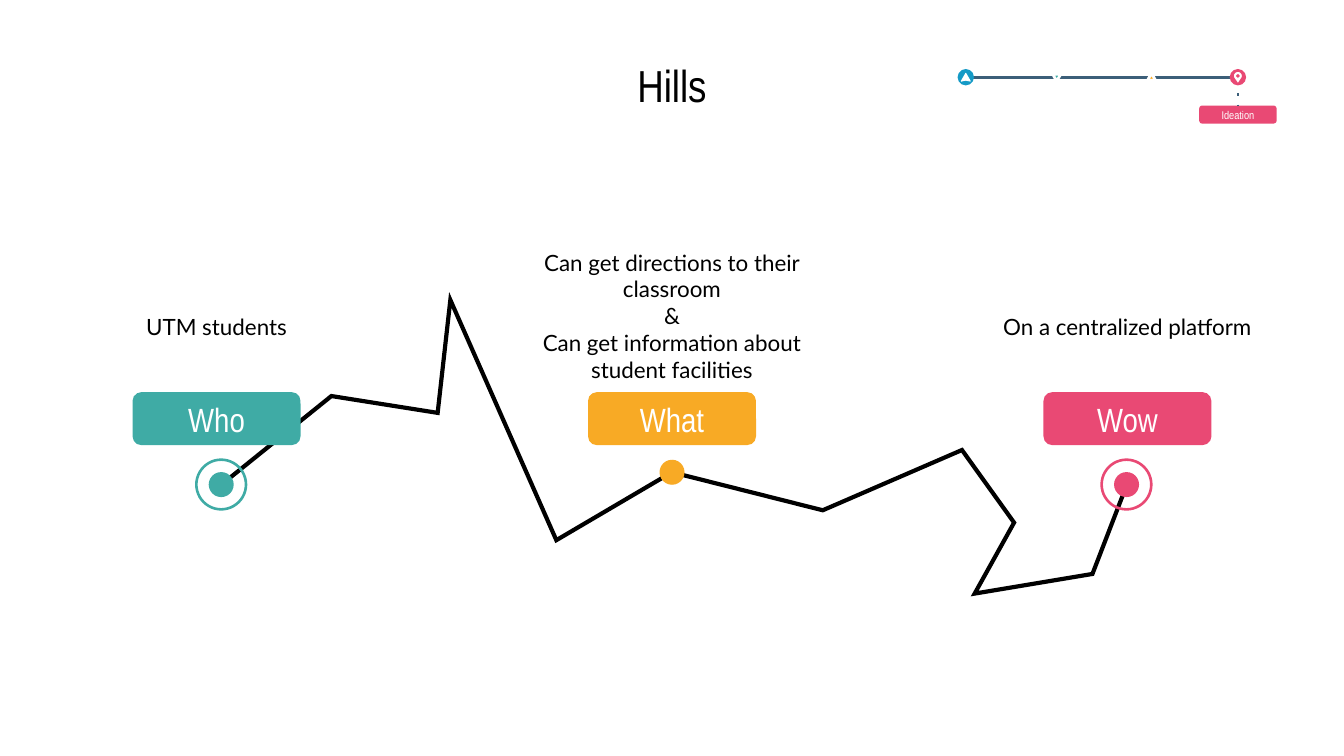
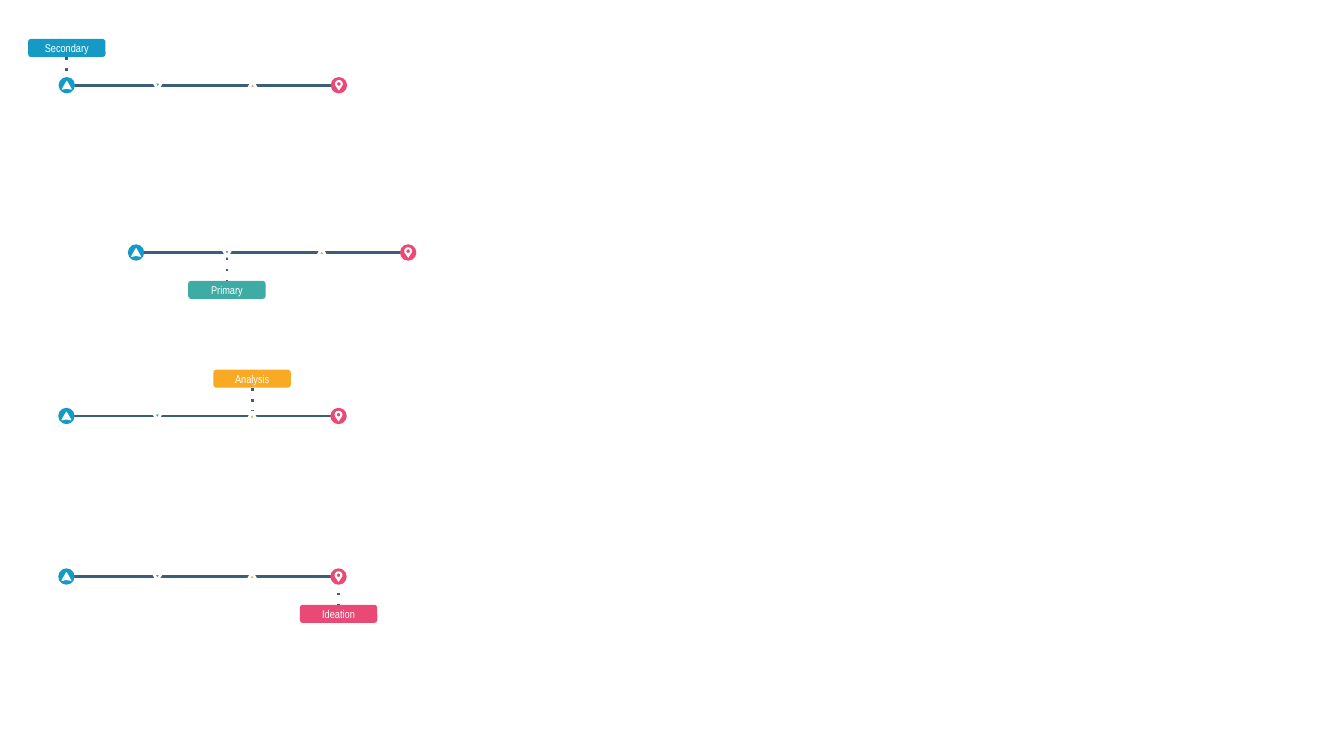
from math import cos, radians, sin

from pptx import Presentation
from pptx.dml.color import RGBColor
from pptx.enum.dml import MSO_LINE
from pptx.enum.shapes import MSO_CONNECTOR, MSO_SHAPE
from pptx.enum.text import MSO_ANCHOR, PP_ALIGN
from pptx.oxml.xmlchemy import OxmlElement
from pptx.util import Pt

OVAL, RING, ROUND = MSO_SHAPE.OVAL, MSO_SHAPE.DONUT, MSO_SHAPE.ROUNDED_RECTANGLE
STRAIGHT = MSO_CONNECTOR.STRAIGHT
DOT = MSO_LINE.ROUND_DOT
CENTER = PP_ALIGN.CENTER
TOP, BOTTOM = 0, 2

BLACK = RGBColor(0x00, 0x00, 0x00)
WHITE = RGBColor(0xFF, 0xFF, 0xFF)
SLATE = RGBColor(0x3C, 0x5F, 0x79)
BLUE = RGBColor(0x15, 0x9A, 0xC6)
TEAL = RGBColor(0x3F, 0xAB, 0xA5)
AMBER = RGBColor(0xF8, 0xAA, 0x25)
PINK = RGBColor(0xE9, 0x49, 0x74)

FRAME = {
    "word_wrap": True, "vertical_anchor": MSO_ANCHOR.MIDDLE,
    "margin_left": Pt(7.2), "margin_right": Pt(7.2),
    "margin_top": Pt(7.2), "margin_bottom": Pt(7.2),
}
HEAD = {"name": "Arial Narrow", "size": Pt(24)}
LABEL = {"name": "Arial Narrow", "size": Pt(18)}
SMALL = {"name": "Arial Narrow", "size": Pt(6)}
BODY = {"name": "Lato", "size": Pt(12)}

STEPS = [(0, BLUE), (48.7, TEAL), (99.5, AMBER), (145.8, PINK)]
DISC = 8.8
TRAIL = [
    (118.5, 259.8), (177.6, 212.2), (234.5, 221.2), (241.3, 160.7),
    (298.1, 289.4), (360, 253), (440.8, 273.4), (515.4, 241.1),
    (543.3, 280), (522.2, 318), (585.3, 307.5), (603.5, 260.2),
]
HILLS = [
    ("Who", TEAL, ["UTM students"], 144.8, (118.5, 259.6), True),
    ("What", AMBER, ["Can get directions to their classroom", "&",
                     "Can get information about student facilities"],
     139, (360, 253), False),
    ("Wow", PINK, ["On a centralized platform"], 144.8, (603.5, 259.6), True),
]
TRACKS = [
    (35.8, 45.7, 0, "Secondary", -1),
    (72.9, 135.3, 1, "Primary", 1),
    (35.6, 222.9, 2, "Analysis", -1),
    (35.6, 308.9, 3, "Ideation", 1),
]


def put(item, vals):
    """Set each named value on the item."""
    for name, val in vals.items():
        setattr(item, name, val)


def paint(shape, fill=None, line=None, width=1.5):
    """Give a shape its fill and outline, without a shadow."""
    shape.shadow.inherit = False
    if fill is None:
        shape.fill.background()
    else:
        shape.fill.solid()
        shape.fill.fore_color.rgb = fill
    if line is None:
        shape.line.fill.background()
    else:
        shape.line.color.rgb = line
        shape.line.width = Pt(width)
    return shape


def write(shape, lines, font, color):
    """Fill a shape with centred paragraphs."""
    frame = shape.text_frame
    put(frame, FRAME)
    for i, line in enumerate(lines):
        para = frame.paragraphs[0] if i == 0 else frame.add_paragraph()
        para.text = line
        para.alignment = CENTER
        put(para.font, font)
        para.font.color.rgb = color


def words(slide, x, y, w, h, lines, font):
    """Add a text box centred on x."""
    box = slide.shapes.add_textbox(Pt(x - w / 2), Pt(y), Pt(w), Pt(h))
    write(box, lines, font, BLACK)


def place(slide, kind, x, y, w, h, fill):
    """Add a filled preset shape centred on a point."""
    shape = slide.shapes.add_shape(
        kind, Pt(x - w / 2), Pt(y - h / 2), Pt(w), Pt(h))
    return paint(shape, fill)


def chip(slide, x, y, w, h, text, font, fill):
    """Add a rounded label centred on a point."""
    shape = place(slide, ROUND, x, y, w, h, fill)
    shape.adjustments[0] = 0.167
    write(shape, [text], font, WHITE)
    return shape


def outline(slide, paths, close=True):
    """Add one freeform made of several point lists."""
    paths = [[(Pt(x), Pt(y)) for x, y in pts] for pts in paths]
    build = slide.shapes.build_freeform(*paths[0][0], scale=1.0)
    for i, pts in enumerate(paths):
        if i:
            build.move_to(*pts[0])
        build.add_line_segments(pts[1:], close=close)
    return build.convert_to_shape()


def rule(slide, x1, y1, x2, y2):
    """Add a plain slate line."""
    line = slide.shapes.add_connector(STRAIGHT, Pt(x1), Pt(y1), Pt(x2), Pt(y2))
    line.line.color.rgb = SLATE
    line.line.width = Pt(1.5)
    line._element.spPr.append(OxmlElement("a:effectLst"))
    return line


def stem(slide, x, y, tag, side):
    """Join a stop and its tag with a dotted line."""
    near, far = y + side * 2.6, y + side * 15.15
    ends = (near, far) if side > 0 else (far, near)
    line = rule(slide, x, ends[0], x, ends[1])
    line.line.dash_style = DOT
    line._element.xpath(".//a:prstDash")[0].set("val", "dot")
    if side > 0:
        line.end_connect(tag, TOP)
    else:
        line.begin_connect(tag, BOTTOM)


def arrow(slide, x, y, fill, width, turn=0):
    """Add a notched arrowhead with a white outline."""
    pts = [(x, y - 2.1), (x - 2.4, y + 2.1), (x, y + 1.6), (x + 2.4, y + 2.1)]
    shape = paint(outline(slide, [pts]), fill, WHITE, width)
    shape.rotation = turn


def arc(x, y, r, start, end):
    """List points along an arc, in degrees."""
    return [(x + r * cos(radians(a)), y + r * sin(radians(a)))
            for a in range(start, end + 1, 20)]


def pin(slide, x, y):
    """Add a white map pin with a round hole."""
    head = y - 0.7
    body = arc(x, head, 2.1, 160, 380) + [(x, y + 2.9)]
    paint(outline(slide, [body, arc(x, head, 0.95, 0, 340)]), WHITE)


def track(slide, x, y, stop, text, side):
    """Draw the four-stop track with a tag at one stop."""
    first, second, third, last = [x + gap for gap, _ in STEPS]
    rule(slide, x - 1.1, y, x + 146.5, y)
    gap, color = STEPS[stop]
    tag = chip(slide, x + gap, y + side * 20, 41.5, 9.7, text, SMALL, color)
    stem(slide, x + gap, y, tag, side)
    arrow(slide, second, y, TEAL, 1.5, 180)
    arrow(slide, third, y, AMBER, 1.5)
    place(slide, OVAL, last, y, DISC, DISC, PINK)
    pin(slide, last, y)
    place(slide, OVAL, first, y, DISC, DISC, BLUE)
    arrow(slide, first, y, WHITE, 0.5)


def trail(slide):
    """Draw the mountain trail with sharp corners."""
    shape = paint(outline(slide, [TRAIL], close=False), None, BLACK, 2.25)
    join = OxmlElement("a:miter")
    join.set("lim", "800000")
    shape._element.xpath("./p:spPr/a:ln")[0].append(join)


def hill(slide, x, name, color, lines, top, spot, ringed):
    """Draw one hill: marker, label and statement."""
    place(slide, OVAL, *spot, 13.4, 13.4, color)
    if ringed:
        ring = place(slide, RING, *spot, 28, 28, color)
        ring.adjustments[0] = 0.05
    chip(slide, x, 224.3, 90, 28.4, name, LABEL, color)
    words(slide, x, top, 159, 60.5, lines, BODY)


def main():
    """Build both slides and save them."""
    deck = Presentation()
    put(deck, {"slide_width": Pt(720), "slide_height": Pt(405)})
    hills, tracks = [deck.slides.add_slide(deck.slide_layouts[6])
                     for _ in range(2)]

    words(hills, 360, 30.2, 385, 30.2, ["Hills"], HEAD)
    trail(hills)
    for i, item in enumerate(HILLS):
        hill(hills, 116 + 244 * i, *item)
    track(hills, 517.4, 41.4, 3, "Ideation", 1)

    for item in TRACKS:
        track(tracks, *item)
    deck.save("out.pptx")


if __name__ == "__main__":
    main()
